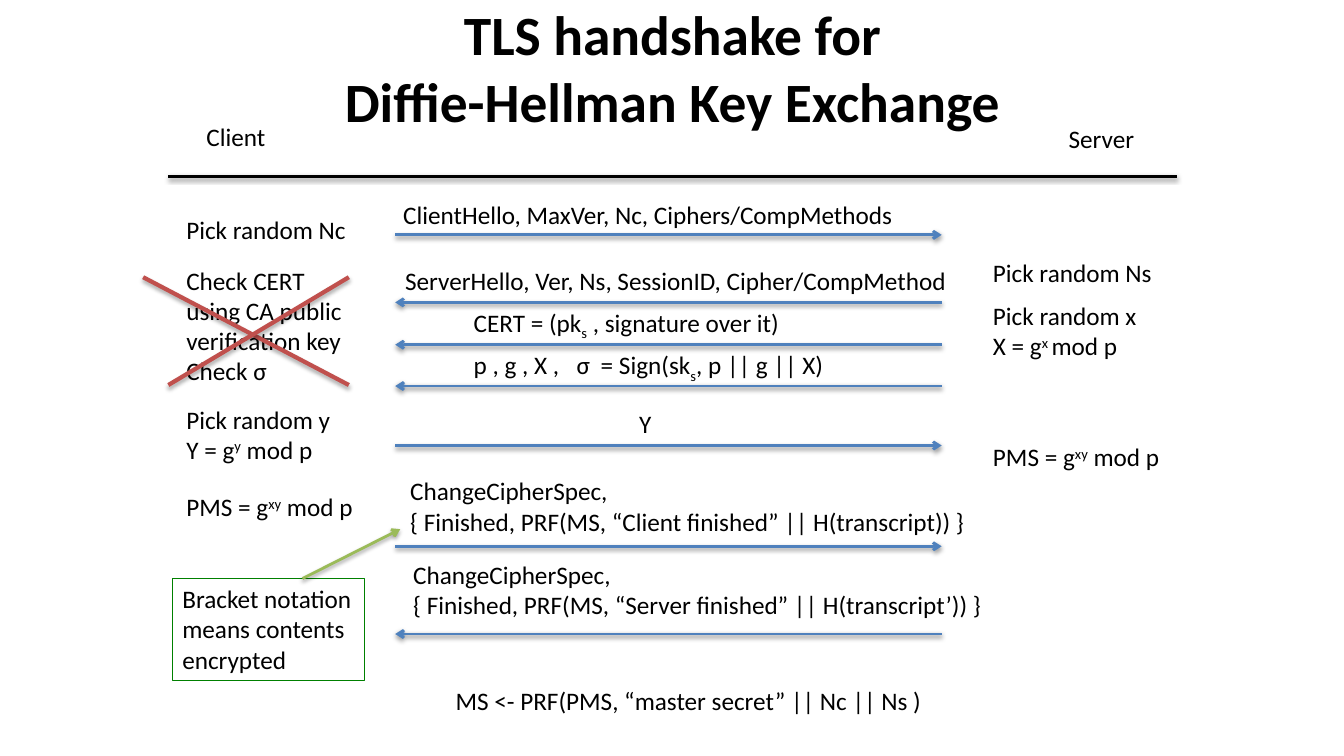
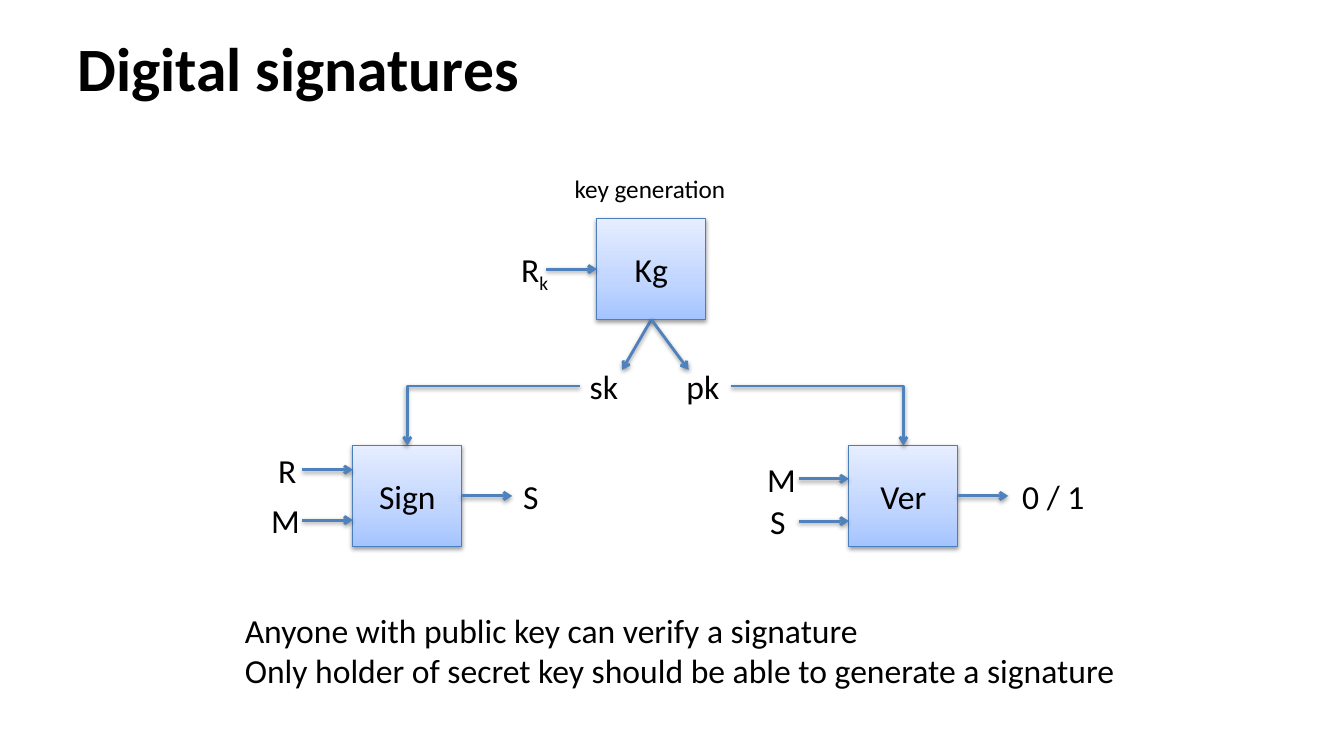
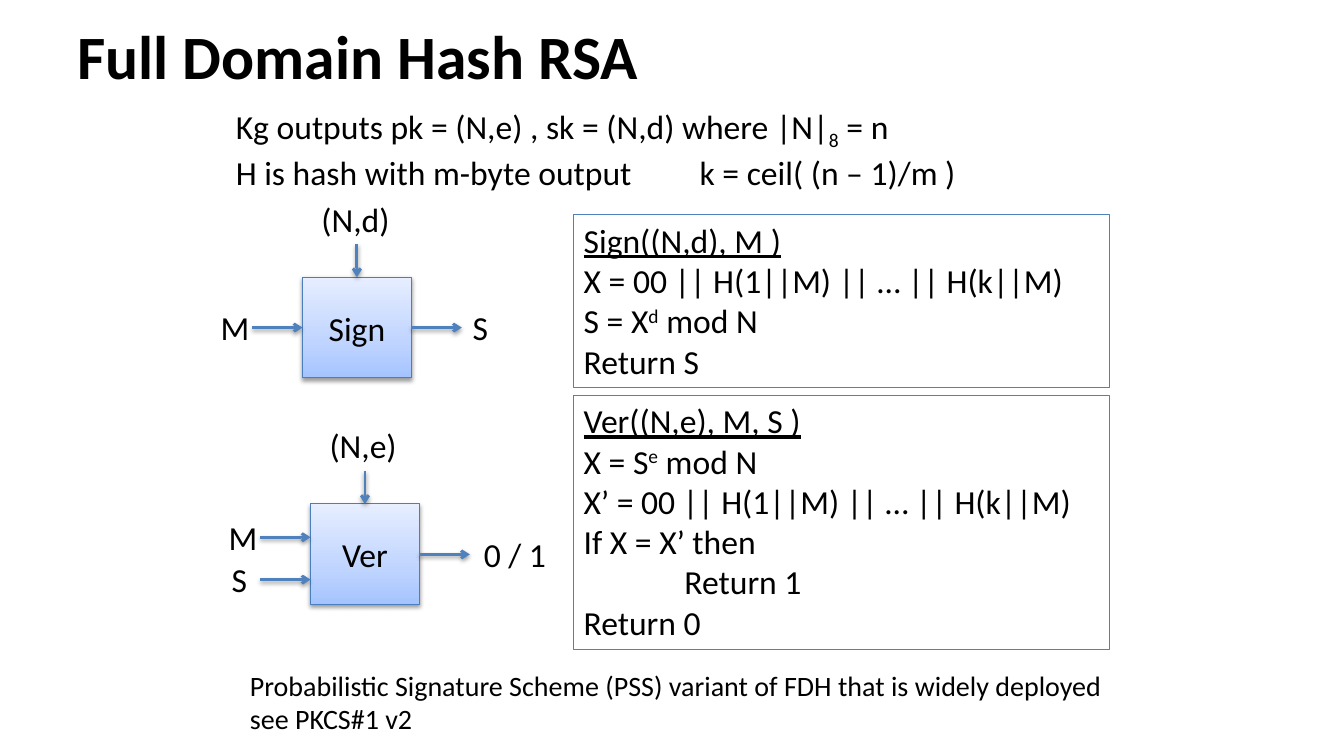
from lxml import etree
from pptx import Presentation
from pptx import util as u
from pptx.dml.color import RGBColor
from pptx.enum import shapes, text
from pptx.oxml.ns import qn

PX = 9144  # one px is a hundredth of an inch
FONT = "Calibri"
SUB, SUP = -25000, 30000
COLORS = {
    "ink": "000000", "arrow": "4F81BD", "box_line": "4B7EBC", "note": "008000",
    "pointer": "9BBB59", "cross": "C0504D",
}
BOX_GRADIENT = [(0, "A4C4FF"), (35, "BFD4FF"), (100, "E6EEFF")]
BOX_WIDTH, BOX_HEIGHT, STUB = 108, 100, 50

# Labels beside a box: pieces of text, offset from the box's left side, width
INPUTS = {
    "R": ("R", -84, 38), "M": ("M", -91, 49), "S": ("S", -88, 36),
    "Rk": (("R", ("k", SUB)), -85, 49),
}
OUTPUTS = {"S": (159, 36), "0 / 1": (162, 83)}


def px(value):
    return u.Emu(round(value * PX))


def rgb(name):
    return RGBColor.from_string(COLORS[name])


def add_element(parent, tag, **attributes):
    element = etree.SubElement(parent, qn(tag))
    for name, value in attributes.items():
        element.set(name, str(value))
    return element


def add_shadow(shape, distance=20000, opacity=38):
    effects = add_element(shape._element.spPr, "a:effectLst")
    shadow = add_element(effects, "a:outerShdw", blurRad=40000, dist=distance,
                         dir=5400000, rotWithShape=0)
    color = add_element(shadow, "a:srgbClr", val=COLORS["ink"])
    add_element(color, "a:alpha", val=opacity * 1000)


def write_text(frame, paragraphs, size=18, bold=False, align=text.PP_ALIGN.LEFT,
               anchor=text.MSO_ANCHOR.TOP, wrap=False, tabs=(), underline_first=False):
    """A paragraph is a string or a tuple of strings and (string, baseline) pairs."""
    frame.word_wrap = wrap
    frame.vertical_anchor = anchor
    for index, pieces in enumerate(paragraphs):
        paragraph = frame.paragraphs[0] if index == 0 else frame.add_paragraph()
        paragraph.alignment = align
        if tabs:
            stops = add_element(paragraph._p.get_or_add_pPr(), "a:tabLst")
            for stop in tabs:
                add_element(stops, "a:tab", pos=px(stop), algn="l")
        for piece in (pieces,) if isinstance(pieces, str) else pieces:
            if piece == "\n":
                paragraph.add_line_break()
                continue
            words, baseline = (piece, 0) if isinstance(piece, str) else piece
            run = paragraph.add_run()
            run.text = words
            run.font.name, run.font.size, run.font.bold = FONT, u.Pt(size), bold
            run.font.color.rgb = rgb("ink")
            if underline_first and index == 0:
                run.font.underline = True
            if baseline:
                run._r.get_or_add_rPr().set("baseline", str(baseline))


def add_text(slide, paragraphs, left, top, width, size=18, outline=None, **formatting):
    height = 10 + 1.68 * size * len(paragraphs)
    box = slide.shapes.add_textbox(px(left), px(top), px(width), px(height))
    write_text(box.text_frame, paragraphs, size=size, **formatting)
    box.text_frame.auto_size = text.MSO_AUTO_SIZE.SHAPE_TO_FIT_TEXT
    if outline:
        box.line.color.rgb = rgb(outline)
        box.line.width = u.Pt(0.75)
    return box


def add_line(slide, start, end, color="arrow", weight=2, head=True, elbow=False,
             begin=None, finish=None, **shadow):
    """begin and finish are (shape, side) pairs to join."""
    kind = shapes.MSO_CONNECTOR.ELBOW if elbow else shapes.MSO_CONNECTOR.STRAIGHT
    line = slide.shapes.add_connector(kind, *map(px, start + end))
    if elbow:
        line._element.spPr.find(qn("a:prstGeom")).set("prst", "bentConnector2")
    line.line.color.rgb = rgb(color)
    line.line.width = u.Pt(weight)
    if head:
        add_element(line.line._get_or_add_ln(), "a:tailEnd", type="arrow")
    add_shadow(line, **shadow)
    if begin:
        line.begin_connect(*begin)
    if finish:
        line.end_connect(*finish)


def add_titled_slide(presentation, pieces, box=(67, 25, 1200, 83), size=44,
                     align=text.PP_ALIGN.LEFT):
    slide = presentation.slides.add_slide(presentation.slide_layouts[5])
    title = slide.shapes.title
    title.left, title.top, title.width, title.height = map(px, box)
    write_text(title.text_frame, [pieces], size=size, bold=True, align=align,
               anchor=text.MSO_ANCHOR.MIDDLE, wrap=True)
    title.text_frame.auto_size = text.MSO_AUTO_SIZE.NONE
    return slide


def add_algorithm(slide, label, left, top, inputs, output=None, key=None):
    """A shaded box with its input arrows, output arrow and key from above."""
    box = slide.shapes.add_shape(shapes.MSO_SHAPE.RECTANGLE, px(left), px(top),
                                 px(BOX_WIDTH), px(BOX_HEIGHT))
    box.fill.gradient()
    box.fill.gradient_angle = 90
    stops = box._element.spPr.find(".//" + qn("a:gsLst"))
    for stop in list(stops):
        stops.remove(stop)
    for position, color in BOX_GRADIENT:
        stop = add_element(stops, "a:gs", pos=position * 1000)
        add_element(stop, "a:srgbClr", val=color)
    box.line.color.rgb = rgb("box_line")
    box.line.width = u.Pt(0.75)
    add_shadow(box)
    write_text(box.text_frame, [label], size=24, align=text.PP_ALIGN.CENTER,
               anchor=text.MSO_ANCHOR.MIDDLE, wrap=True)

    middle = top + BOX_HEIGHT // 2
    right = left + BOX_WIDTH
    for name, offset in inputs:
        pieces, shift, width = INPUTS[name]
        y = top + offset
        add_line(slide, (left - STUB, y), (left, y),
                 finish=(box, 1) if y == middle else None)
        add_text(slide, [pieces], left + shift, y - 25, width, size=24)
    if output:
        shift, width = OUTPUTS[output]
        add_line(slide, (right, middle), (right + STUB, middle), begin=(box, 3))
        add_text(slide, [output], left + shift, middle - 25, width, size=24)
    if key:
        center = left + BOX_WIDTH // 2
        add_text(slide, [key], left + 9, top - 83, 88, size=24)
        add_line(slide, (center, top - 33), (center, top), finish=(box, 0))
    return box


def add_messages(slide, left, right):
    """Messages between client and server: text, place, arrow height, direction."""
    messages = [
        (["ClientHello, MaxVer, Nc, Ciphers/CompMethods"], -2, 193, 521, 233, True),
        (["ServerHello, Ver, Ns, SessionID, Cipher/CompMethod"], 0, 258, 569, 300, False),
        ([("CERT = (pk", ("s", SUB), " , signature over it)")], 68, 300, 328, 342, False),
        ([("p , g , X ,\tσ\t= Sign(sk", ("s", SUB), ", p || g || X)")],
         68, 342, 379, 383, False),
        (["Y"], 232, 400, 33, 442, True),
        (["ChangeCipherSpec,", "{ Finished, PRF(MS, “Client finished” || H(transcript)) }"],
         5, 467, 588, 542, True),
        (["ChangeCipherSpec,", "{ Finished, PRF(MS, “Server finished” || H(transcript’)) }"],
         8, 550, 602, 629, False),
    ]
    for paragraphs, shift, top, width, y, to_server in messages:
        ends = [(left, y), (right, y)]
        add_line(slide, *(ends if to_server else ends[::-1]))
        add_text(slide, paragraphs, left + shift, top, width, tabs=(102, 126))


def add_steps(slide, left, steps):
    """What one party does, down its column."""
    for top, width, *paragraphs in steps:
        add_text(slide, paragraphs, left, top, width)


def build_handshake(presentation):
    slide = add_titled_slide(
        presentation, ("TLS handshake for", "\n", "Diffie-Hellman Key Exchange"),
        size=39.6, align=text.PP_ALIGN.CENTER)
    secret = ("PMS = g", ("xy", SUP), " mod p")

    # Party names above the rule
    add_text(slide, ["Client"], 195, 115, 80)
    add_text(slide, ["Server"], 1050, 117, 86)
    add_line(slide, (167, 175), (1167, 175), color="ink", head=False)

    add_messages(slide, 392, 934)
    add_steps(slide, 175, [
        (208, 180, "Pick random Nc"),
        (258, 177, "Check CERT", "using CA public", "verification key", "Check σ"),
        (396, 170, "Pick random y", ("Y = g", ("y", SUP), " mod p")),
        (483, 191, secret),
    ])
    add_steps(slide, 975, [
        (250, 180, "Pick random Ns"),
        (293, 165, "Pick random x", ("X = g", ("x ", SUP), "mod p")),
        (433, 191, secret),
    ])
    add_text(slide, ["MS <- PRF(PMS, “master secret” || Nc || Ns )"], 442, 675, 487)

    # Note on the brackets
    add_text(slide, ["Bracket notation", "means contents", "encrypted"],
             171, 574, 191, outline="note")
    add_line(slide, (300, 574), (397, 525), color="pointer")

    # Cross over the certificate check
    for start, end in [((142, 275), (346, 382)), ((167, 382), (346, 275))]:
        add_line(slide, start, end, color="cross", weight=3, head=False,
                 distance=23000, opacity=35)


def build_signatures(presentation):
    slide = add_titled_slide(presentation, "Digital signatures")

    # Key generation
    add_text(slide, ["key generation"], 560, 167, 173)
    generator = add_algorithm(slide, "Kg", 592, 217, [("Rk", 50)])
    for x, label, left, width in [(617, "sk", 575, 49), (683, "pk", 671, 54)]:
        add_line(slide, (646, 317), (x, 367), begin=(generator, 2))
        add_text(slide, [label], left, 358, width, size=24)

    # Signing and verifying, each fed by its key
    add_algorithm(slide, "Sign", 350, 442, [("R", 24), ("M", 74)], "S")
    add_algorithm(slide, "Ver", 842, 442, [("M", 33), ("S", 75)], "0 / 1")
    for start_x, end_x in [(575, 404), (725, 896)]:
        add_line(slide, (start_x, 383), (end_x, 442), elbow=True)

    add_text(slide, ["Anyone with public key can verify a signature",
                     "Only holder of secret key should be able to generate a signature"],
             233, 600, 896, size=24)


def build_full_domain_hash(presentation):
    slide = add_titled_slide(presentation, "Full Domain Hash RSA", box=(67, -8, 900, 125))
    add_text(slide, [("Kg outputs pk = (N,e) , sk = (N,d) where |N|", ("8", SUB), " = n"),
                     "H is hash with m-byte output\tk = ceil( (n – 1)/m )"],
             224, 100, 755, size=24, tabs=(460,))

    # Diagrams
    add_algorithm(slide, "Sign", 300, 275, [("M", 50)], "S", key="(N,d)")
    add_algorithm(slide, "Ver", 308, 500, [("M", 33), ("S", 75)], "0 / 1", key="(N,e)")

    # Pseudocode
    padded = "00 || H(1||M) || … || H(k||M)"
    procedures = [
        (213, ["Sign((N,d), M )", "X = " + padded,
               ("S = X", ("d", SUP), " mod N"), "Return S"]),
        (392, ["Ver((N,e), M, S )", ("X = S", ("e", SUP), " mod N"), "X’ = " + padded,
               "If X = X’ then", "\tReturn 1", "Return 0"]),
    ]
    for top, lines in procedures:
        add_text(slide, lines, 569, top, 531, size=24, outline="arrow", wrap=True,
                 tabs=(100,), underline_first=True)

    add_text(slide, ["Probabilistic Signature Scheme (PSS) variant of FDH that is widely deployed",
                     "see PKCS#1 v2"], 238, 658, 874, size=20)


def main():
    presentation = Presentation()
    presentation.slide_width, presentation.slide_height = px(1333), px(750)
    build_handshake(presentation)
    build_signatures(presentation)
    build_full_domain_hash(presentation)
    presentation.save("out.pptx")


if __name__ == "__main__":
    main()
